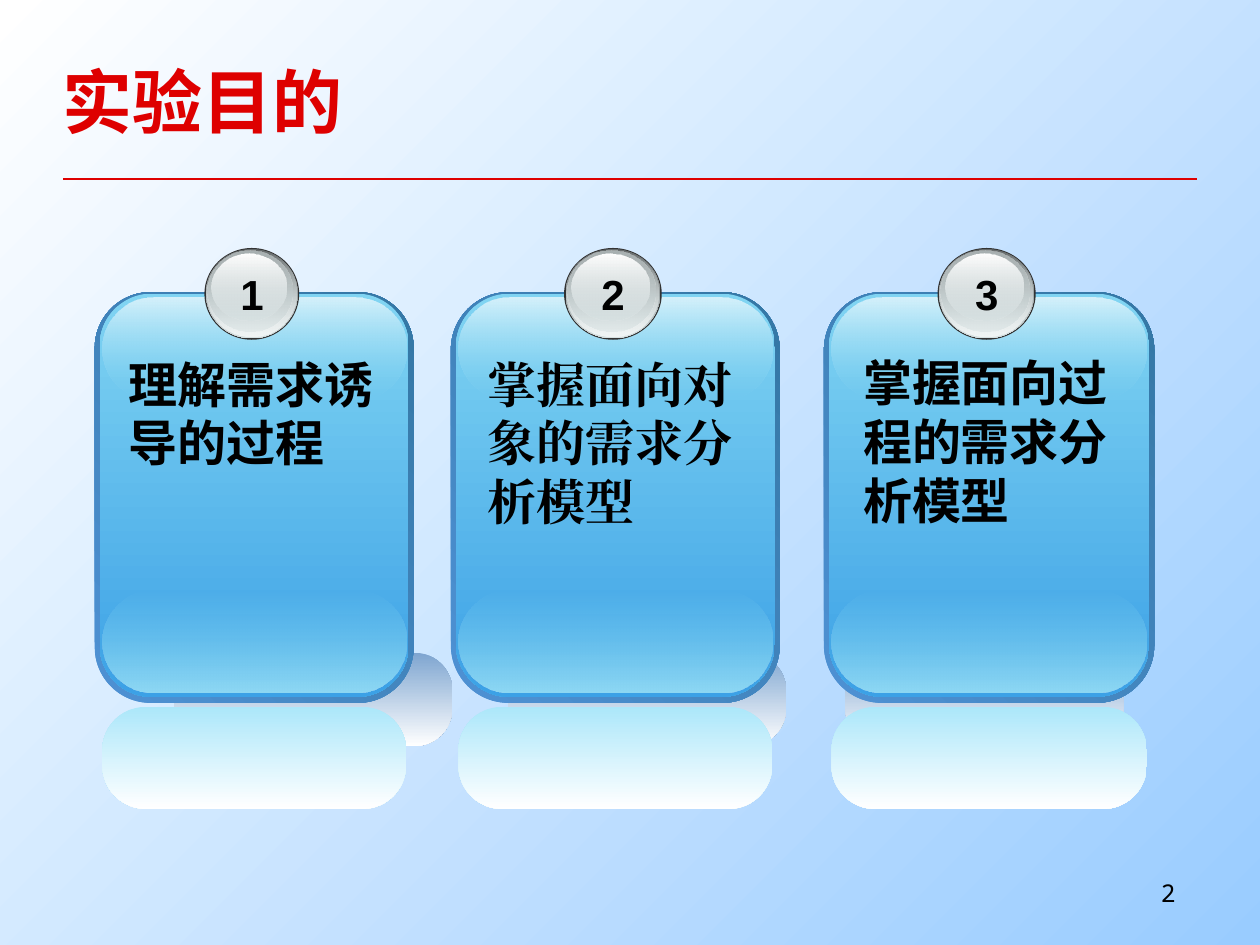
from typing import NamedTuple

from lxml import etree
from pptx import Presentation
from pptx import util as u
from pptx.dml.color import RGBColor
from pptx.enum import shapes, text
from pptx.oxml.ns import qn

RED = "DE0000"
BLACK = "000000"
SANS = "Noto Sans CJK SC"
ROUNDED = shapes.MSO_SHAPE.ROUNDED_RECTANGLE
OVAL = shapes.MSO_SHAPE.OVAL
PADDING = (0.25, 0.13)


class Box(NamedTuple):
    """Left, top, width and height in centimetres."""
    left: float
    top: float
    width: float
    height: float

    def lengths(self) -> list[u.Cm]:
        return [u.Cm(side) for side in self]


class Paint(NamedTuple):
    """A vertical gradient unless angle (clockwise) says otherwise; opacity in percent."""
    start: str
    end: str
    start_opacity: int = 100
    end_opacity: int = 100
    angle: int = 90


class Panel(NamedTuple):
    """A rounded layer of a card, set in from both sides."""
    inset: float
    top: float
    height: float
    rounding: float
    paint: Paint


class Ring(NamedTuple):
    """A round layer of a badge, moved right and made narrower."""
    shift: float
    shrink: float
    top: float
    height: float
    paint: Paint


class Card(NamedTuple):
    left: float
    width: float
    shadow_left: float
    message: str
    message_box: Box
    font: str


PANELS = [
    Panel(0, 5.89, 8.28, 0.175, Paint("4E91D4", "3477A4", angle=315)),
    Panel(0.1, 5.92, 8.13, 0.168, Paint("80D4F2", "3CA1E6")),
    Panel(0.15, 11.91, 2.06, 0.5, Paint("80D4F2", "8FD9F4", start_opacity=0)),
    Panel(0.15, 5.99, 2.06, 0.5, Paint("D5F1FB", "80D4F2", end_opacity=0)),
    Panel(0.15, 14.25, 2.06, 0.429, Paint("ACE7FA", "FFFFFF")),
]
RINGS = [
    Ring(0, 0, 5, 1.85, Paint("333333", "333333")),
    Ring(0.03, 0.06, 5.02, 1.8, Paint("636869", "D6E1E2")),
    Ring(0.04, 0.1, 5.04, 1.75, Paint("D6E1E2", "F1F5F5", start_opacity=0)),
    Ring(0.06, 0.19, 5.06, 1.63, Paint("AAB2B3", "D6E1E2", end_opacity=48)),
    Ring(0.15, 0.4, 5.11, 1.35, Paint("FFFFFF", "D6E1E2", end_opacity=38)),
]
CARDS = [
    Card(1.91, 6.43, 3.51, "理解需求诱导的过程",
         Box(2.34, 7.01, 5.51, 2.64), SANS),
    Card(9.09, 6.63, 10.24, "掌握面向对象的需求分析模型",
         Box(9.58, 7.01, 5.66, 3.81), "Times New Roman"),
    Card(16.61, 6.66, 17.04, "掌握面向过程的需求分析模型",
         Box(17.15, 6.98, 5.59, 3.81), SANS),
]


def rgb(code: str) -> RGBColor:
    return RGBColor.from_string(code)


def apply_paint(fill, paint: Paint) -> None:
    fill.gradient()
    fill.gradient_angle = 360 - paint.angle
    for stop, code in zip(fill.gradient_stops, (paint.start, paint.end)):
        stop.color.rgb = rgb(code)


def draw_layer(slide, preset, box: Box, paint: Paint, rounding: float = 0) -> None:
    layer = slide.shapes.add_shape(preset, *box.lengths())
    layer.shadow.inherit = False
    layer.line.fill.background()
    if rounding:
        layer.adjustments[0] = rounding
    if paint.start == paint.end:
        layer.fill.solid()
        layer.fill.fore_color.rgb = rgb(paint.start)
        return
    apply_paint(layer.fill, paint)
    stops = layer._element.spPr.iter(qn("a:srgbClr"))
    for stop, opacity in zip(list(stops), (paint.start_opacity, paint.end_opacity)):
        if opacity < 100:
            etree.SubElement(stop, qn("a:alpha"), val=str(opacity * 1000))


def write(slide, box: Box, words: str, size: int, font: str, color: str = BLACK,
          bold: bool = True, align=text.PP_ALIGN.LEFT, anchor=text.MSO_ANCHOR.TOP,
          padding: tuple[float, float] = PADDING, before: int = 0,
          wrap: bool = True) -> None:
    frame = slide.shapes.add_textbox(*box.lengths()).text_frame
    frame.word_wrap = wrap
    frame.vertical_anchor = anchor
    frame.margin_left = frame.margin_right = u.Cm(padding[0])
    frame.margin_top = frame.margin_bottom = u.Cm(padding[1])
    paragraph = frame.paragraphs[0]
    paragraph.alignment = align
    paragraph.space_before = u.Pt(before)
    run = paragraph.add_run()
    run.text = words
    run.font.size = u.Pt(size)
    run.font.bold = bold
    run.font.name = font
    run.font.color.rgb = rgb(color)
    etree.SubElement(run.font._element, qn("a:ea"), typeface=font)


def draw_rule(slide) -> None:
    rule = slide.shapes.add_connector(
        shapes.MSO_CONNECTOR.STRAIGHT, u.Cm(1.27), u.Cm(3.61), u.Cm(24.13), u.Cm(3.61))
    rule.line.color.rgb = rgb(RED)
    rule.line.width = u.Pt(1.5)
    etree.SubElement(rule._element.spPr, qn("a:effectLst"))


def draw_badge(slide, number: int, left: float, width: float) -> None:
    for ring in RINGS:
        box = Box(left + ring.shift, ring.top, width - ring.shrink, ring.height)
        draw_layer(slide, OVAL, box, ring.paint)
    number_width = 0.96
    write(slide, Box(left + (width - number_width) / 2, 5.28, number_width, 1.27),
          str(number), 24, "Arial", align=text.PP_ALIGN.CENTER, wrap=False)


def draw_card(slide, number: int, card: Card) -> None:
    draw_layer(slide, ROUNDED, Box(card.shadow_left, 13.16, 5.61, 1.88),
               Paint("7EA5D0", "FFFFFF"), 0.404)
    for panel in PANELS:
        box = Box(card.left + panel.inset, panel.top,
                  card.width - 2 * panel.inset, panel.height)
        draw_layer(slide, ROUNDED, box, panel.paint, panel.rounding)
    draw_badge(slide, number, card.left + 0.344 * card.width, 0.297 * card.width)
    write(slide, card.message_box, card.message, 28, card.font, before=6)


def main() -> None:
    deck = Presentation()
    deck.slide_width, deck.slide_height = u.Cm(25.4), u.Cm(19.05)
    slide = deck.slides.add_slide(deck.slide_layouts[6])
    apply_paint(slide.background.fill, Paint("FFFFFF", "99CCFF", angle=45))
    draw_rule(slide)
    write(slide, Box(19.89, 17.58, 4.06, 0.94), "2", 14, "Noto Sans Mono",
          bold=False, align=text.PP_ALIGN.RIGHT)
    write(slide, Box(1.27, 0.43, 22.86, 3.18), "实验目的", 40, SANS, RED,
          anchor=text.MSO_ANCHOR.MIDDLE, padding=(0, 0))
    for number, card in enumerate(CARDS, start=1):
        draw_card(slide, number, card)
    deck.save("out.pptx")


if __name__ == "__main__":
    main()
